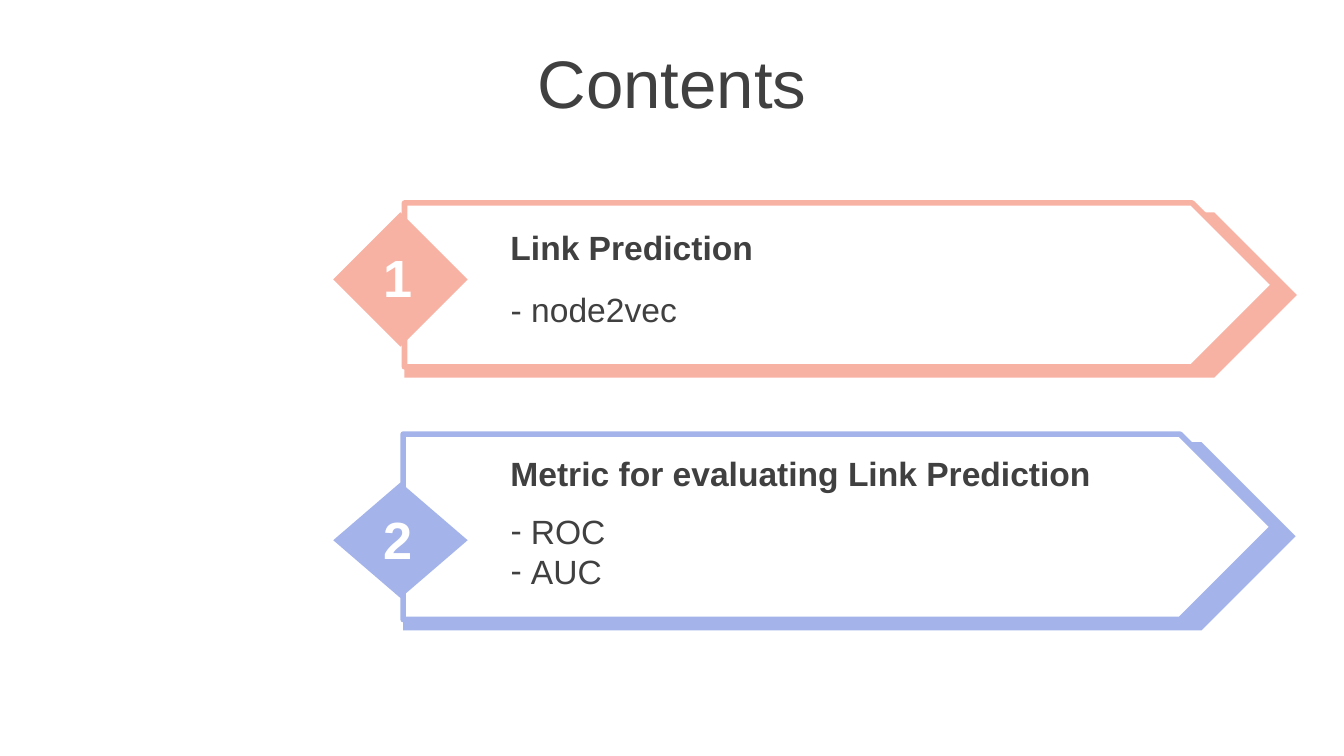
from lxml.etree import SubElement
from pptx import Presentation
from pptx.dml.color import RGBColor
from pptx.enum.shapes import MSO_SHAPE
from pptx.enum.text import MSO_ANCHOR, MSO_AUTO_SIZE, PP_ALIGN
from pptx.oxml.ns import qn
from pptx.util import Inches, Pt

CORAL = RGBColor(0xF8, 0xB2, 0xA3)
PERIWINKLE = RGBColor(0xA4, 0xB4, 0xEA)
WHITE = RGBColor(0xFF, 0xFF, 0xFF)
CHARCOAL = RGBColor(0x40, 0x40, 0x40)
FONT = "Arial"
SLIDE_WIDTH = Inches(10)
SLIDE_HEIGHT = SLIDE_WIDTH * 9 // 16
DASH_INDENT = Inches(0.15)

SECTIONS = [
    dict(number="1", heading="Link Prediction", items=["- node2vec"], dashes=False,
         color=CORAL, back=(3.01, 1.58, 6.64, 1.23), front=(3.01, 1.51, 6.47, 1.22),
         diamond=(2.48, 1.58, 1, 1), number_top=1.77,
         heading_top=1.64, list_top=2.1, list_height=0.4),
    dict(number="2", heading="Metric for evaluating Link Prediction",
         items=["ROC", "AUC"], dashes=True,
         color=PERIWINKLE, back=(3, 3.29, 6.64, 1.4), front=(3, 3.23, 6.47, 1.38),
         diamond=(2.48, 3.59, 1, 0.86), number_top=3.72,
         heading_top=3.32, list_top=3.75, list_height=0.71),
]


def place(target, left, top, width, height):
    target.left, target.top = Inches(left), Inches(top)
    target.width, target.height = Inches(width), Inches(height)


def set_bullet(paragraph, dash):
    properties = paragraph._p.get_or_add_pPr()
    indent = DASH_INDENT if dash else 0
    properties.set("marL", str(indent))
    properties.set("indent", str(-indent))
    if dash:
        SubElement(properties, qn("a:buFont")).set("typeface", FONT)
        SubElement(properties, qn("a:buChar")).set("char", "-")
    else:
        SubElement(properties, qn("a:buNone"))


def write_text(target, lines, size=18, color=CHARCOAL, bold=False,
               align=PP_ALIGN.LEFT, anchor=MSO_ANCHOR.TOP, dashes=False):
    frame = target.text_frame
    frame.word_wrap = True
    frame.auto_size = MSO_AUTO_SIZE.NONE
    frame.vertical_anchor = anchor
    frame.text = "\n".join(lines)
    for paragraph in frame.paragraphs:
        paragraph.alignment = align
        paragraph.space_before = Pt(0)
        set_bullet(paragraph, dashes)
        for run in paragraph.runs:
            run.font.name = FONT
            run.font.size = Pt(size)
            run.font.bold = bold
            run.font.color.rgb = color


def add_text(slide, box, text, **style):
    label = slide.shapes.add_textbox(*map(Inches, box))
    write_text(label, [text], **style)


def add_panel(slide, preset, box, fill, outline=None):
    panel = slide.shapes.add_shape(preset, *map(Inches, box))
    panel.shadow.inherit = False
    panel.fill.solid()
    panel.fill.fore_color.rgb = fill
    if outline is None:
        panel.line.fill.background()
    else:
        panel.line.color.rgb = outline
        panel.line.width = Pt(3)


def add_section(slide, item_list, section):
    color = section["color"]
    add_panel(slide, MSO_SHAPE.PENTAGON, section["back"], color)
    add_panel(slide, MSO_SHAPE.PENTAGON, section["front"], WHITE, outline=color)
    add_panel(slide, MSO_SHAPE.DIAMOND, section["diamond"], color)
    add_text(slide, (2.74, section["number_top"], 0.44, 0.57), section["number"],
             size=28, color=WHITE, bold=True,
             align=PP_ALIGN.CENTER, anchor=MSO_ANCHOR.MIDDLE)
    add_text(slide, (3.7, section["heading_top"], 5.2, 0.4), section["heading"],
             bold=True)
    place(item_list, 3.7, section["list_top"], 5.2, section["list_height"])
    write_text(item_list, section["items"], dashes=section["dashes"])
    item_list.element.getparent().append(item_list.element)


def main():
    presentation = Presentation()
    presentation.slide_width = SLIDE_WIDTH
    presentation.slide_height = SLIDE_HEIGHT
    slide = presentation.slides.add_slide(
        presentation.slide_layouts.get_by_name("Two Content"))
    title, *item_lists = list(slide.placeholders)
    place(title, 0, 0.29, 10, 0.63)
    write_text(title, ["Contents"], size=36,
               align=PP_ALIGN.CENTER, anchor=MSO_ANCHOR.MIDDLE)
    for item_list, section in zip(item_lists, SECTIONS):
        add_section(slide, item_list, section)
    presentation.save("out.pptx")


if __name__ == "__main__":
    main()
